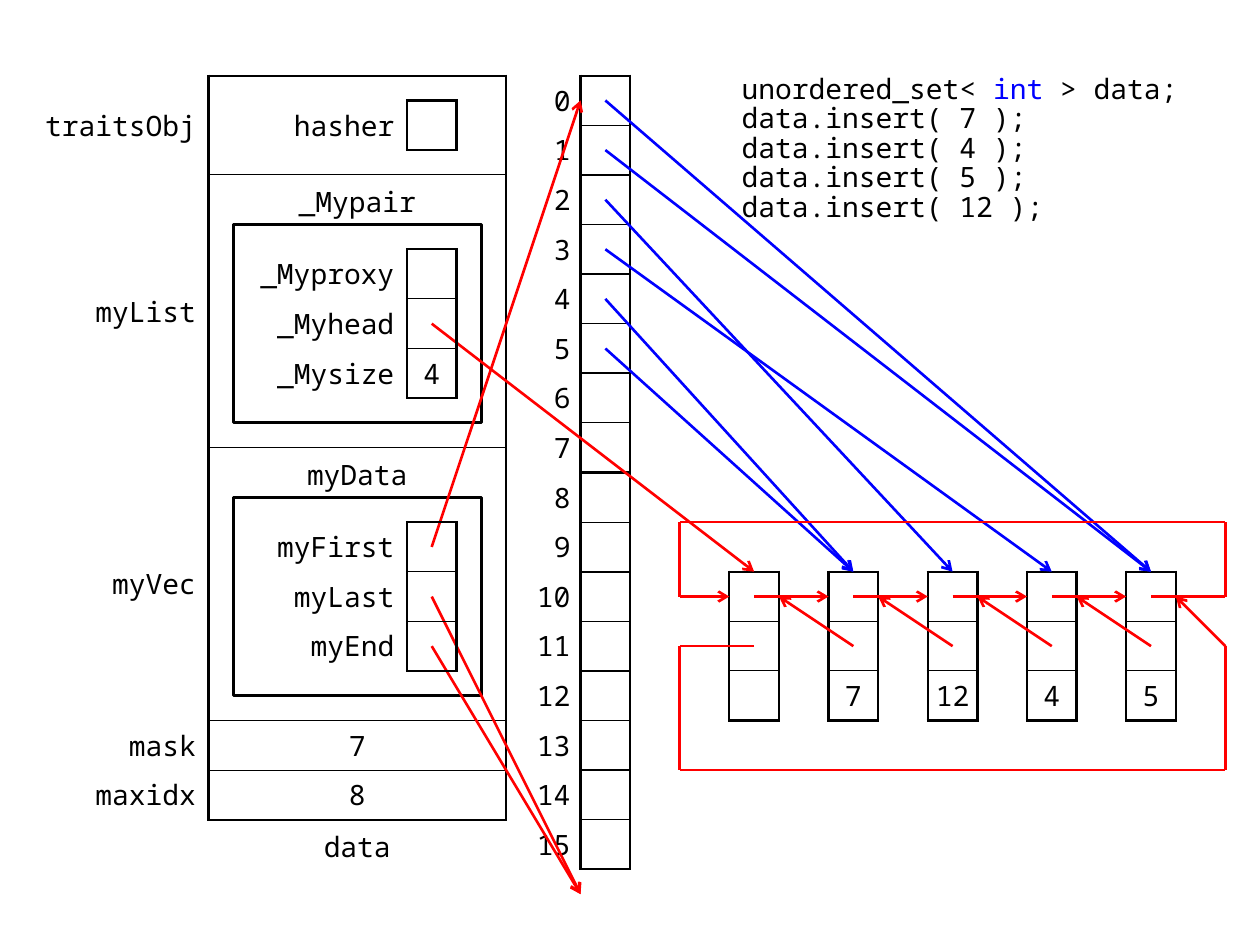
"""Draw the memory layout of a hash set: its members, buckets and linked nodes."""
from dataclasses import dataclass
from itertools import pairwise

from pptx import Presentation
from pptx.dml.color import RGBColor
from pptx.enum.shapes import MSO_CONNECTOR as Connector, MSO_SHAPE as Shape
from pptx.enum.text import MSO_ANCHOR as Anchor, PP_ALIGN as Align
from pptx.oxml import parse_xml
from pptx.oxml.ns import nsdecls
from pptx.util import Cm, Inches, Pt

STEP = Cm(0.5)
LEFT, TOP = Inches(0.08), Inches(0.01)
BLACK, RED, BLUE, WHITE = "000000", "FF0000", "0000FF", "FFFFFF"
THIN, THICK = 0.75, 1.5
FONT = {"name": "Noto Sans Mono", "size": Pt(16)}
NODE_COLUMNS = range(29, 46, 4)
NODE_VALUES = ("", "7", "12", "4", "5")
BUCKET_TARGETS = (4, 4, 2, 3, 1, 1)
Point = tuple[float, float]


@dataclass(frozen=True)
class Area:
    """A rectangle in grid columns and rows."""
    column: float
    row: float
    width: float
    height: float


@dataclass(frozen=True)
class Record:
    """A stack of bordered cells with optional labels on the left."""
    column: int
    row: int
    heights: tuple[int, ...]
    values: tuple[str, ...]
    labels: tuple[str, ...] = ()
    label_width: int = 0
    value_width: int = 2
    label_margin: float = 0.1
    paired: bool = False


@dataclass(frozen=True)
class Route:
    """A line through grid points, with an optional arrowhead on each segment."""
    points: tuple[Point, ...]
    colour: str = RED
    arrow: bool = True


def colour_of(code: str) -> RGBColor:
    """Turn a hex string into a colour."""
    return RGBColor.from_string(code)


def place(column: float, row: float) -> tuple[int, int]:
    """Turn a grid point into slide lengths."""
    return LEFT + round(column * STEP), TOP + round(row * STEP)


def bounds(area: Area) -> tuple[int, int, int, int]:
    """Turn an area into left, top, width and height."""
    return (*place(area.column, area.row),
            round(area.width * STEP), round(area.height * STEP))


def assign(target, values: dict) -> None:
    """Set attributes from a dict of format values."""
    for name, value in values.items():
        setattr(target, name, value)


def write(para, text: str, colour: str = BLACK) -> None:
    """Add a span in the common font."""
    span = para.add_run()
    span.text = text
    assign(span.font, FONT)
    span.font.color.rgb = colour_of(colour)


def border(cell, widths: dict[str, float]) -> None:
    """Clear the fill of a cell and draw its sides, where zero means no line."""
    cell.fill.background()
    properties = cell._tc.get_or_add_tcPr()
    for index, side in enumerate("LRTB"):
        width = widths.get(side, 0)
        paint = (f'<a:solidFill><a:srgbClr val="{BLACK}"/></a:solidFill>'
                 if width else "<a:noFill/>")
        properties.insert(index, parse_xml(
            f'<a:ln{side} {nsdecls("a")} w="{Pt(width)}">{paint}</a:ln{side}>'))


def fill_cell(cell, text: str, align: Align, margins: tuple[float, float]) -> None:
    """Write and align the text of a cell."""
    assign(cell, {"vertical_anchor": Anchor.MIDDLE,
                  "margin_left": Inches(margins[0]), "margin_right": Inches(margins[1]),
                  "margin_top": Inches(0.04), "margin_bottom": Inches(0.04)})
    para = cell.text_frame.paragraphs[0]
    para.alignment = align
    if text:
        write(para, text)


def draw_record(page, record: Record) -> None:
    """Draw a record as a table."""
    widths = [width for width in (record.label_width, record.value_width) if width]
    count = len(record.heights)
    area = Area(record.column, record.row, sum(widths), sum(record.heights))
    table = page.shapes.add_table(count, len(widths), *bounds(area)).table
    assign(table, {"first_row": False, "horz_banding": False})
    for column, width in zip(table.columns, widths):
        column.width = width * STEP
    edges = [THICK if index in (0, count) or (record.paired and index % 2 == 0) else THIN
             for index in range(count + 1)]
    for index, (height, value) in enumerate(zip(record.heights, record.values)):
        table.rows[index].height = height * STEP
        cell = table.cell(index, len(widths) - 1)
        fill_cell(cell, value, Align.CENTER, (0, 0))
        border(cell, {"L": THICK, "R": THICK, "T": edges[index], "B": edges[index + 1]})
        if record.labels:
            cell = table.cell(index, 0)
            fill_cell(cell, record.labels[index], Align.RIGHT, (0.04, record.label_margin))
            border(cell, {"R": THICK})


def draw_route(page, route: Route) -> None:
    """Draw each segment of a route as a straight connector."""
    for start, end in pairwise(route.points):
        line = page.shapes.add_connector(Connector.STRAIGHT, *place(*start), *place(*end))
        line.line.width = Pt(THICK)
        line.line.color.rgb = colour_of(route.colour)
        if route.arrow:
            line.line._get_or_add_ln().append(
                parse_xml(f'<a:tailEnd {nsdecls("a")} type="arrow"/>'))
        line._element.spPr.append(parse_xml(f'<a:effectLst {nsdecls("a")}/>'))


def draw_frame(page, area: Area) -> None:
    """Draw a white frame with a black outline."""
    box = page.shapes.add_shape(Shape.RECTANGLE, *bounds(area))
    box.shadow.inherit = False
    box.fill.solid()
    box.fill.fore_color.rgb = colour_of(WHITE)
    box.line.color.rgb = colour_of(BLACK)
    box.line.width = Pt(THICK)


def draw_caption(page, text: str, area: Area) -> None:
    """Write a centred caption at the bottom of an area."""
    frame = page.shapes.add_textbox(*bounds(area)).text_frame
    assign(frame, {"word_wrap": True, "vertical_anchor": Anchor.BOTTOM})
    frame.paragraphs[0].alignment = Align.CENTER
    write(frame.paragraphs[0], text)


def draw_code(page, area: Area) -> None:
    """Write the code that fills the set."""
    frame = page.shapes.add_textbox(*bounds(area)).text_frame
    assign(frame, {"word_wrap": True, "margin_top": 0, "margin_bottom": 0})
    lines = [[("unordered_set< ", BLACK), ("int", BLUE), (" > data;", BLACK)]]
    lines += [[(f"data.insert( {value} );", BLACK)] for value in (7, 4, 5, 12)]
    for index, line in enumerate(lines):
        para = frame.add_paragraph() if index else frame.paragraphs[0]
        para.line_spacing = 0.88
        for text, colour in line:
            write(para, text, colour)


def main() -> None:
    """Build the slide and save it."""
    deck = Presentation()
    assign(deck, {"slide_width": Inches(10), "slide_height": Inches(7.5)})
    page = deck.slides.add_slide(deck.slide_layouts[6])

    draw_record(page, Record(1, 3, (4, 11, 11, 2, 2), ("", "", "", "7", "8"),
                             ("traitsObj", "myList", "myVec", "mask", "maxidx"), 7, 12))
    for column, value in zip(NODE_COLUMNS, NODE_VALUES):
        draw_record(page, Record(column, 23, (2,) * 3, ("", "", value)))
    draw_record(page, Record(20, 3, (2,) * 16, ("",) * 16, tuple(map(str, range(16))),
                             3, label_margin=0.08, paired=True))
    for row in (9, 20):
        draw_frame(page, Area(9, row, 10, 8))

    routes = [Route(((24, 4 + 2 * bucket), (NODE_COLUMNS[node] + 1, 23)), BLUE)
              for bucket, node in enumerate(BUCKET_TARGETS)]
    for column, following in pairwise(NODE_COLUMNS):
        routes += [Route(((column + 1, 24), (following, 24))),
                   Route(((following + 1, 26), (column + 2, 24)))]
    routes += [Route(((46, 24), (49, 24), (49, 21), (27, 21), (27, 24)), arrow=False),
               Route(((27, 24), (29, 24))),
               Route(((30, 26), (27, 26), (27, 31), (49, 31), (49, 26)), arrow=False),
               Route(((49, 26), (47, 24)))]
    routes += [Route(((17, row), end)) for row, end in
               ((13, (30, 23)), (22, (23, 4)), (24, (23, 36)), (26, (23, 36)))]
    for route in routes:
        draw_route(page, route)

    draw_code(page, Area(29, 3, 19, 7))
    for record in (
            Record(10, 4, (2,), ("",), ("hasher",), 6),
            Record(9, 10, (2,) * 3, ("", "", "4"), ("_Myproxy", "_Myhead", "_Mysize"), 7),
            Record(10, 21, (2,) * 3, ("",) * 3, ("myFirst", "myLast", "myEnd"), 6)):
        draw_record(page, record)
    for text, area in (("_Mypair", Area(11, 7, 6, 2)), ("myData", Area(11, 18, 6, 2)),
                       ("data", Area(12, 33, 4, 2))):
        draw_caption(page, text, area)
    deck.save("out.pptx")


if __name__ == "__main__":
    main()
